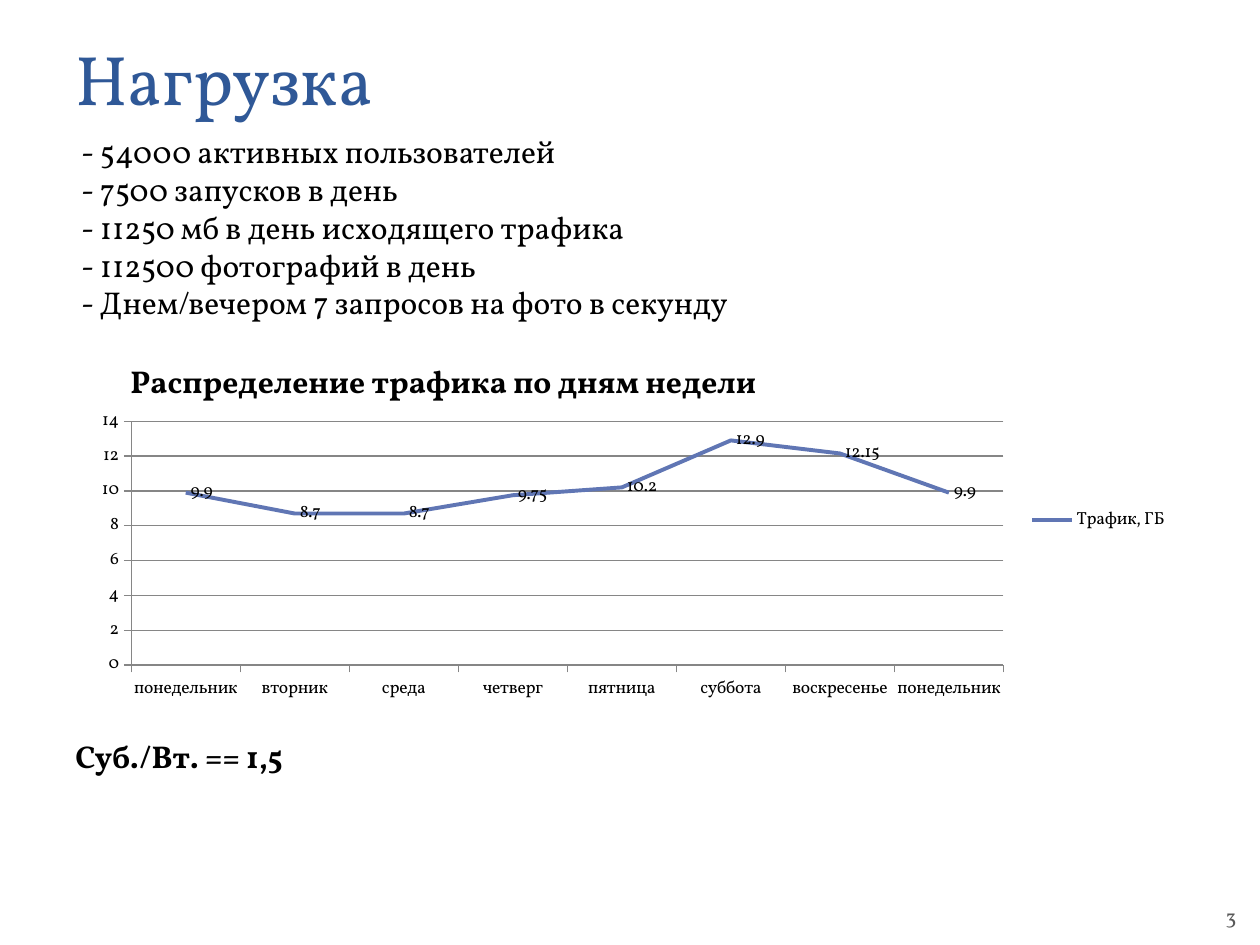
from dataclasses import dataclass

from lxml import etree
from pptx import Presentation
from pptx import util as u
from pptx.chart.data import CategoryChartData
from pptx.dml.color import RGBColor
from pptx.enum import chart as charts, text
from pptx.oxml import parse_xml
from pptx.oxml.ns import nsdecls

FONT = "Vollkorn"
COLORS = {"title": "2F5897", "body": "000000", "number": "595959",
          "line": "6076B4", "grid": "868686"}


@dataclass
class TextBlock:
    left: float
    top: float
    width: float
    height: float
    lines: list[str]
    size: int = 18
    color: str = "body"
    bold: bool = False
    wrap: bool = False
    anchor: text.MSO_ANCHOR = text.MSO_ANCHOR.TOP
    align: text.PP_ALIGN = text.PP_ALIGN.LEFT
    spacing: int | None = None


def style_font(font, size: int, color: str = "body", bold: bool = False) -> None:
    font.name = FONT
    font.size = u.Pt(size)
    font.bold = bold
    font.color.rgb = RGBColor.from_string(COLORS[color])


def add_text(page, block: TextBlock) -> None:
    box = page.shapes.add_textbox(u.Inches(block.left), u.Inches(block.top),
                                  u.Inches(block.width), u.Inches(block.height))
    frame = box.text_frame
    frame.word_wrap = block.wrap
    frame.vertical_anchor = block.anchor
    if not block.wrap:
        frame.auto_size = text.MSO_AUTO_SIZE.SHAPE_TO_FIT_TEXT
    for index, line in enumerate(block.lines):
        para = frame.add_paragraph() if index else frame.paragraphs[0]
        para.alignment = block.align
        if block.spacing:
            para.line_spacing = u.Pt(block.spacing)
        span = para.add_run()
        span.text = line
        style_font(span.font, block.size, block.color, block.bold)


def place(element, before: str, inner: bool = False, **fractions: float) -> None:
    """Fix a chart part at fractions of the chart's size."""
    for old in element.findall("{*}layout"):
        element.remove(old)
    layout = parse_xml(f"<c:layout {nsdecls('c')}><c:manualLayout/></c:layout>")
    settings = {"layoutTarget": "inner"} if inner else {}
    settings |= {"xMode": "edge", "yMode": "edge"} | fractions
    for name, value in settings.items():
        tag = etree.QName(layout).namespace
        etree.SubElement(layout[0], f"{{{tag}}}{name}").set("val", str(value))
    element.find(f"{{*}}{before}").addprevious(layout)


def add_traffic_chart(page, days: list[str], traffic: list[float]) -> None:
    data = CategoryChartData()
    data.categories = days
    data.add_series("Трафик, ГБ", traffic)
    chart = page.shapes.add_chart(
        charts.XL_CHART_TYPE.LINE, u.Inches(0.64), u.Inches(2.63),
        u.Inches(8.73), u.Inches(3), data).chart
    style_font(chart.font, 10)

    # Title and legend
    chart.has_title = True
    span = chart.chart_title.text_frame.paragraphs[0].add_run()
    span.text = "Распределение трафика по дням недели"
    style_font(span.font, 18, bold=True)
    place(chart.element.find(".//{*}title"), "overlay", x=0.04, y=0.06)
    chart.has_legend = True
    chart.legend.position = charts.XL_LEGEND_POSITION.RIGHT
    chart.legend.include_in_layout = False

    # Axes and plot area
    grid = RGBColor.from_string(COLORS["grid"])
    values = chart.value_axis
    values.minimum_scale, values.maximum_scale, values.major_unit = 0, 14, 2
    values.has_major_gridlines = True
    for line in (values.format.line, chart.category_axis.format.line,
                 values.major_gridlines.format.line):
        line.color.rgb = grid
        line.width = u.Pt(0.75)
    for axis in (values, chart.category_axis):
        axis.major_tick_mark = charts.XL_TICK_MARK.OUTSIDE
    place(chart.element.find(".//{*}plotArea"), "lineChart", inner=True,
          x=0.046, y=0.238, w=0.793, h=0.645)

    # Line and its value labels
    plot = chart.plots[0]
    plot.vary_by_categories = False
    series = plot.series[0]
    series.smooth = False
    series.marker.style = charts.XL_MARKER_STYLE.NONE
    series.format.line.color.rgb = RGBColor.from_string(COLORS["line"])
    series.format.line.width = u.Pt(2.25)
    labels = series.data_labels
    labels.show_value = True
    labels.position = charts.XL_LABEL_POSITION.RIGHT
    style_font(labels.font, 10)


def main() -> None:
    deck = Presentation()
    deck.slide_width, deck.slide_height = u.Inches(10), u.Inches(7.5)
    page = deck.slides.add_slide(deck.slide_layouts[6])

    # Heading, load figures, conclusion and page number
    blocks = [
        TextBlock(0.5, 0, 9, 1, ["Нагрузка"], 40, "title", wrap=True,
                  anchor=text.MSO_ANCHOR.BOTTOM, spacing=58),
        TextBlock(0.5, 1, 5.59, 1.62, [
            " - 54000 активных пользователей",
            " - 7500 запусков в день",
            " - 11250 мб в день исходящего трафика",
            " - 112500 фотографий в день",
            " - Днем/вечером 7 запросов на фото в секунду"]),
        TextBlock(0.5, 5.8, 1.88, 0.4, ["Суб./Вт. == 1,5"], bold=True),
        TextBlock(9.52, 7.02, 0.5, 0.5, ["3"], 12, "number", wrap=True,
                  anchor=text.MSO_ANCHOR.MIDDLE, align=text.PP_ALIGN.CENTER),
    ]
    for block in blocks:
        add_text(page, block)

    # Traffic over the week
    add_traffic_chart(
        page,
        ["понедельник", "вторник", "среда", "четверг", "пятница", "суббота",
         "воскресенье", "понедельник"],
        [9.9, 8.7, 8.7, 9.75, 10.2, 12.9, 12.15, 9.9])

    deck.save("out.pptx")


if __name__ == "__main__":
    main()
